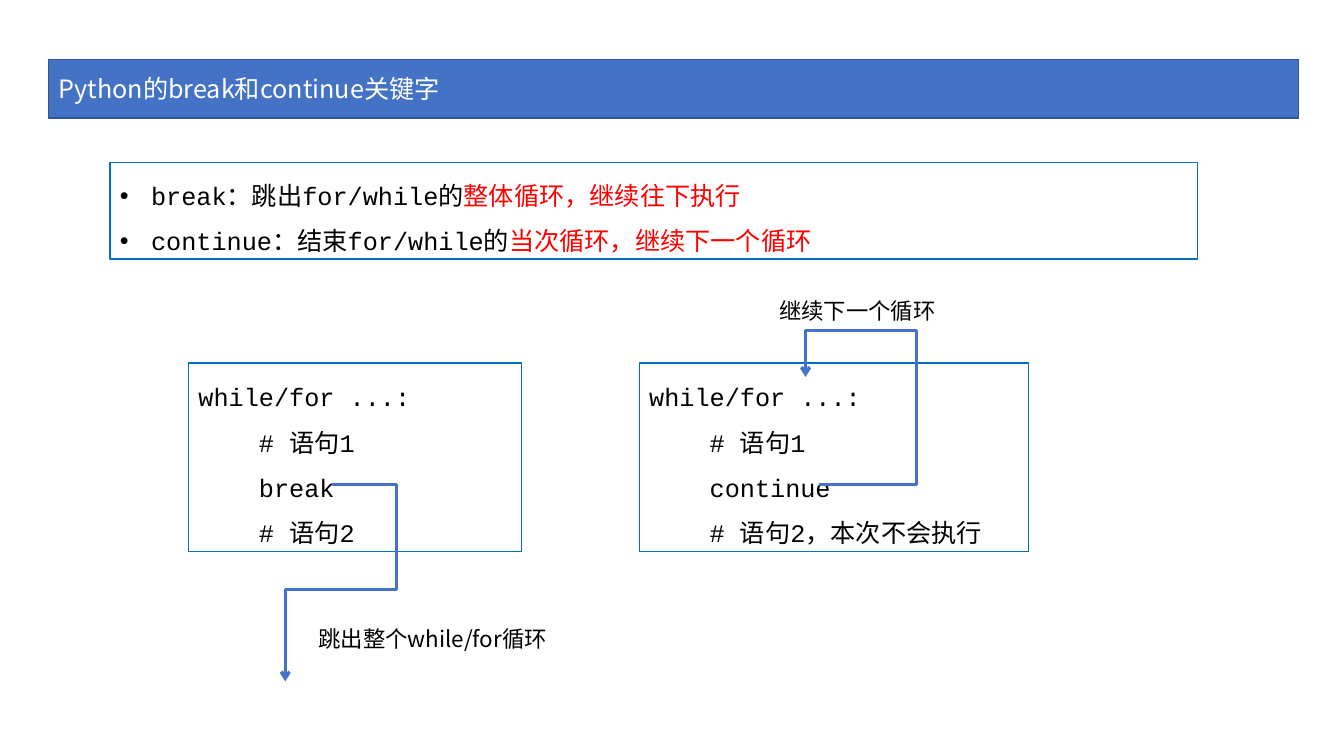
from dataclasses import dataclass

from lxml.etree import SubElement
from pptx import Presentation
from pptx.dml.color import RGBColor
from pptx.enum.shapes import MSO_CONNECTOR as Connector, MSO_SHAPE as Preset
from pptx.enum.text import MSO_ANCHOR as Anchor, MSO_AUTO_SIZE as AutoSize, PP_ALIGN as Align
from pptx.oxml.ns import qn
from pptx.util import Pt

EMU_PER_PX = 9144  # 100 px to the inch

BLUE = RGBColor(0x44, 0x72, 0xC4)
BANNER_EDGE = RGBColor(0x32, 0x54, 0x91)
FRAME_BLUE = RGBColor(0x00, 0x70, 0xC0)
RED = RGBColor(0xFF, 0x00, 0x00)
BLACK = RGBColor(0x00, 0x00, 0x00)
WHITE = RGBColor(0xFF, 0xFF, 0xFF)

CODE_FONT = "Courier New"
TEXT_FONT = "Noto Sans CJK SC"

Run = tuple[str, RGBColor]


@dataclass
class Panel:
    """A framed box; each line is a list of coloured runs."""
    box: tuple[int, int, int, int]
    lines: list[list[Run]]
    bulleted: bool = False


@dataclass
class Jump:
    """An arrow leaving a keyword, turning at (turn_x, turn_y)."""
    start: tuple[int, int]
    end: tuple[int, int]
    turn_x: int
    turn_y: int


@dataclass
class Label:
    box: tuple[int, int, int, int]
    words: str


def px(length: int) -> int:
    return length * EMU_PER_PX


def code(*lines: str) -> list[list[Run]]:
    return [[(line, BLACK)] for line in lines]


def add_bullet(paragraph) -> None:
    props = paragraph._p.get_or_add_pPr()
    props.set("marL", str(px(31)))
    props.set("indent", str(px(-31)))
    SubElement(props, qn("a:buFont"), typeface="Arial")
    SubElement(props, qn("a:buChar"), char="•")


def write(frame, lines: list[list[Run]], *, font: str = TEXT_FONT, size: int = 18,
          spacing: float = 1.0, anchor=Anchor.MIDDLE, fit=AutoSize.SHAPE_TO_FIT_TEXT,
          bulleted: bool = False) -> None:
    frame.word_wrap = True
    frame.auto_size = fit
    frame.vertical_anchor = anchor
    for number, line in enumerate(lines):
        paragraph = frame.paragraphs[0] if number == 0 else frame.add_paragraph()
        paragraph.alignment = Align.LEFT
        paragraph.line_spacing = spacing
        if bulleted:
            add_bullet(paragraph)
        for words, color in line:
            run = paragraph.add_run()
            run.text = words
            run.font.name = font
            run.font.size = Pt(size)
            run.font.color.rgb = color
            SubElement(run._r.get_or_add_rPr(), qn("a:ea"), typeface=TEXT_FONT)


def paint(shape, fill: RGBColor, edge: RGBColor) -> None:
    shape.fill.solid()
    shape.fill.fore_color.rgb = fill
    shape.line.color.rgb = edge
    shape.line.width = Pt(1)


def draw_banner(slide, words: str) -> None:
    banner = slide.shapes.title
    banner.left, banner.top, banner.width, banner.height = map(px, (48, 59, 1240, 58))
    paint(banner, BLUE, BANNER_EDGE)
    write(banner.text_frame, [[(words, WHITE)]], fit=AutoSize.NONE)


def draw_panel(slide, panel: Panel) -> None:
    frame = slide.shapes.add_shape(Preset.RECTANGLE, *map(px, panel.box))
    frame.shadow.inherit = False
    paint(frame, WHITE, FRAME_BLUE)
    write(frame.text_frame, panel.lines, font=CODE_FONT, spacing=1.5,
          bulleted=panel.bulleted)


def draw_jump(slide, jump: Jump) -> None:
    (x1, y1), (x2, y2) = jump.start, jump.end
    arrow = slide.shapes.add_connector(Connector.ELBOW, *map(px, (x1, y1, x2, y2)))
    arrow.line.color.rgb = BLUE
    arrow.line.width = Pt(2.25)
    props = arrow._element.spPr
    # Two turns, placed as shares of the arrow's width and height
    geometry = props.find(qn("a:prstGeom"))
    geometry.set("prst", "bentConnector4")
    shares = ((jump.turn_x - x1) / (x2 - x1), (jump.turn_y - y1) / (y2 - y1))
    for number, share in enumerate(shares, start=1):
        SubElement(geometry.find(qn("a:avLst")), qn("a:gd"), name=f"adj{number}",
                   fmla=f"val {round(share * 100000)}")
    SubElement(props.find(qn("a:ln")), qn("a:tailEnd"), type="arrow")
    SubElement(props, qn("a:effectLst"))


def draw_label(slide, label: Label) -> None:
    note = slide.shapes.add_textbox(*map(px, label.box))
    write(note.text_frame, [[(label.words, BLACK)]], size=16, anchor=Anchor.TOP)


DEFINITIONS = Panel((109, 161, 1079, 96), [
    [("break：跳出for/while的", BLACK), ("整体循环，继续往下执行", RED)],
    [("continue：结束for/while的", BLACK), ("当次循环，继续下一个循环", RED)],
], bulleted=True)
BREAK_LOOP = Panel((187, 360, 330, 187), code(
    "while/for ...:", "    # 语句1", "    break", "    # 语句2"))
CONTINUE_LOOP = Panel((634, 360, 386, 187), code(
    "while/for ...:", "    # 语句1", "    continue", "    # 语句2，本次不会执行"))

JUMPS = [
    Jump((329, 481), (283, 676), turn_x=393, turn_y=585),
    Jump((812, 481), (799, 374), turn_x=909, turn_y=328),
]
LABELS = [
    Label((306, 615, 251, 37), "跳出整个while/for循环"),
    Label((763, 290, 178, 37), "继续下一个循环"),
]


def main() -> None:
    deck = Presentation()
    deck.slide_width, deck.slide_height = px(1333), px(750)
    slide = deck.slides.add_slide(deck.slide_layouts[5])  # title only

    draw_banner(slide, "Python的break和continue关键字")
    for panel in (DEFINITIONS, BREAK_LOOP, CONTINUE_LOOP):
        draw_panel(slide, panel)
    for jump in JUMPS:
        draw_jump(slide, jump)
    for label in LABELS:
        draw_label(slide, label)

    deck.save("out.pptx")


if __name__ == "__main__":
    main()
